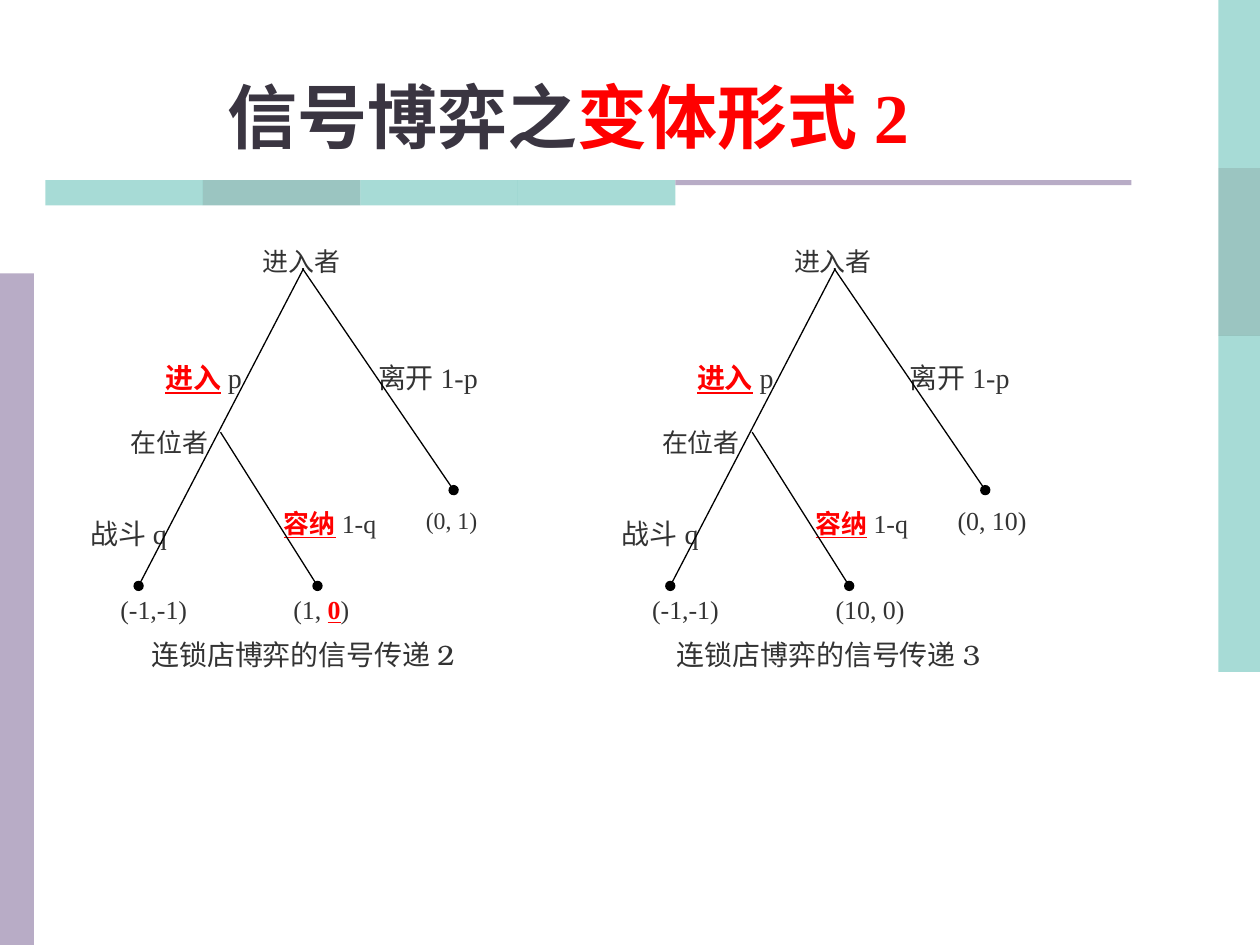
from dataclasses import dataclass
from lxml import etree
from pptx import Presentation, util as u
from pptx.dml import color
from pptx.enum import shapes, text
from pptx.oxml import ns


@dataclass(frozen=True)
class Theme:
    teal: str = "51B9AF"
    deep: str = "398D85"
    mauve: str = "B8ACC6"
    ink: str = "333333"
    head: str = "3A3541"
    red: str = "FF0000"
    white: str = "FFFFFF"
    black: str = "000000"
    serif: str = "Times New Roman"
    book: str = "TeX Gyre Bonum"
    title: float = 40
    large: float = 16
    mid: float = 14.8
    small: float = 13.6
    line: float = 0.75


T = Theme()
MID, RIGHT, JUST = text.PP_ALIGN.CENTER, text.PP_ALIGN.RIGHT, text.PP_ALIGN.JUSTIFY


def rgb(code):
    return color.RGBColor.from_string(code)


def apply(item, vals):
    for key, val in vals.items():
        setattr(item, key, val)


class Deck:
    def __init__(self, theme, wide, high):
        self.theme = theme
        self.file = Presentation()
        apply(self.file, {"slide_width": u.Inches(wide),
                          "slide_height": u.Inches(high)})
        self.slide = self.file.slides.add_slide(self.file.slide_layouts[6])

    def rect(self, box, fill, alpha=None):
        shape = self.slide.shapes.add_shape(
            shapes.MSO_SHAPE.RECTANGLE, *map(u.Inches, box))
        shape.shadow.inherit = False
        shape.fill.solid()
        shape.fill.fore_color.rgb = rgb(fill)
        shape.line.fill.background()
        if alpha:
            clr = shape._element.spPr.find(".//" + ns.qn("a:srgbClr"))
            etree.SubElement(clr, ns.qn("a:alpha"), val=str(alpha * 1000))
        return shape

    def words(self, shape, runs, size, align, font, inset, anchor, space=None):
        frame = shape.text_frame
        side, top = map(u.Inches, inset)
        apply(frame, {"word_wrap": True, "vertical_anchor": anchor,
                      "margin_left": side, "margin_right": side,
                      "margin_top": top, "margin_bottom": top})
        par = frame.paragraphs[0]
        apply(par, {"alignment": align, "line_spacing": space})
        for word, tone, bold, under in runs:
            run = par.add_run()
            run.text = word
            apply(run.font, {"name": font, "size": u.Pt(size),
                             "bold": bold, "underline": under})
            run.font.color.rgb = rgb(tone)

    def label(self, box, runs, size, align, space):
        shape = self.rect(box, self.theme.white)
        shape.line.color.rgb = rgb(self.theme.white)
        shape.line.width = u.Pt(self.theme.line)
        self.words(shape, runs, size, align, self.theme.serif, (0, 0),
                   text.MSO_ANCHOR.TOP, space)

    def text(self, box, runs, size, font, anchor):
        shape = self.slide.shapes.add_textbox(*map(u.Inches, box))
        self.words(shape, runs, size, MID, font, (0.1, 0.05), anchor)

    def branch(self, start, end):
        link = self.slide.shapes.add_connector(
            shapes.MSO_CONNECTOR.STRAIGHT, *map(u.Inches, start + end))
        link.line.color.rgb = rgb(self.theme.black)
        link.line.width = u.Pt(self.theme.line)
        props = link._element.spPr
        etree.SubElement(props.find(ns.qn("a:ln")), ns.qn("a:tailEnd"), type="oval")
        etree.SubElement(props, ns.qn("a:effectLst"))


def plain(word):
    return [(word, T.ink, False, False)]


def key(word):
    return [(word, T.red, True, True)]


def tree(deck, x, pay, out):
    labels = [
        (0, 3.86, 0.7, 0.53, plain("战斗q"), T.large, MID, 1.9),
        (1.56, 3.83, 0.78, 0.53, key("容纳") + plain("1-q"), T.mid, MID, 1.8),
        (1.56, 4.54, *pay, T.mid, MID, 1.7),
        (2.33, 2.65, 0.85, 0.46, plain("离开1-p"), T.large, JUST, 1.8),
        (2.71, 3.83, *out),
        (0.13, 3.21, 0.85, 0.42, plain("在位者"), T.mid, RIGHT, 1.7),
        (0.24, 4.54, 0.62, 0.4, plain("(-1,-1)"), T.mid, MID, 1.7),
        (0.32, 2.65, 0.93, 0.46, key("进入") + plain("p"), T.large, RIGHT, 1.8),
        (1.25, 1.78, 0.94, 0.42, plain("进入者"), T.mid, MID, 1.7),
    ]
    for left, top, wide, high, runs, size, align, space in labels:
        deck.label((x + left, top, wide, high), runs, size, align, space)
    for x1, y1, x2, y2 in [(1.74, 2.13, 0.43, 4.65), (1.73, 2.13, 2.93, 3.89),
                           (1.08, 3.43, 1.85, 4.65)]:
        deck.branch((x + x1, y1), (x + x2, y2))


def main():
    deck = Deck(T, 10, 7.5)
    for i, tone in enumerate([T.teal, T.deep, T.teal, T.teal]):
        deck.rect((9.67, i * 4 / 3, 0.33, 4 / 3), tone, 50)
        deck.rect((0.36 + i * 1.25, 1.43, 1.25, 0.2), tone, 50)
    deck.rect((0, 2.17, 0.27, 5.33), T.mauve)
    deck.rect((5.36, 1.43, 3.62, 0.04), T.mauve)

    deck.text((0, 0.44, 9.02, 0.86),
              [("信号博弈之", T.head, True, False),
               ("变体形式2", T.red, True, False)],
              T.title, T.serif, text.MSO_ANCHOR.BOTTOM)

    tree(deck, 0.67, (0.64, 0.41, plain("(1, ") + key("0") + plain(")")),
         (0.44, 0.42, plain("(0, 1)"), T.small, JUST, 1.8))
    tree(deck, 4.89, (0.91, 0.41, plain("(10, 0)")),
         (0.78, 0.42, plain("(0, 10)"), T.mid, JUST, 1.7))
    for left, num in [(0.91, 2), (5.08, 3)]:
        deck.text((left, 5.01, 2.99, 0.37), plain(f"连锁店博弈的信号传递{num}"),
                  T.large, T.book, text.MSO_ANCHOR.MIDDLE)
    deck.file.save("out.pptx")


if __name__ == "__main__":
    main()
